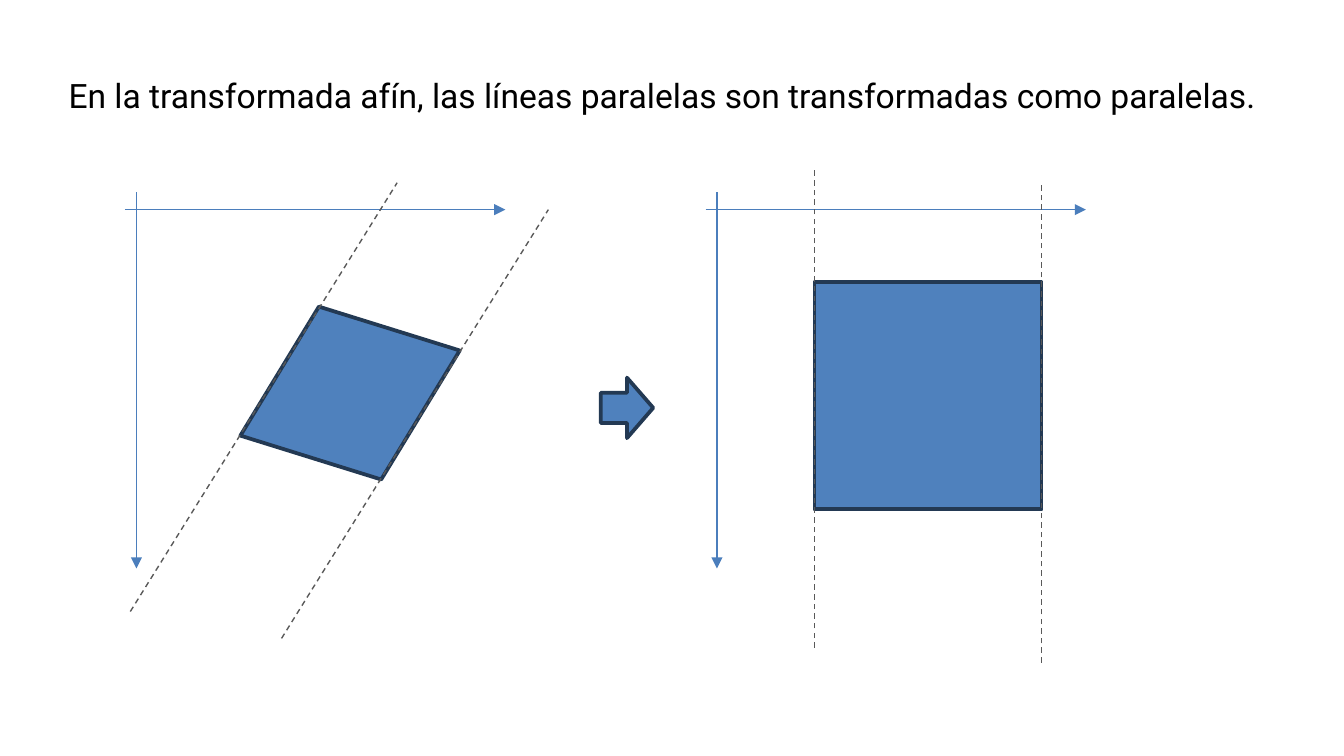
"""Build a slide showing that an affine transform keeps parallel lines parallel."""
from dataclasses import dataclass

from lxml.etree import SubElement
from pptx import Presentation
from pptx.dml.color import RGBColor as Rgb
from pptx.enum.dml import MSO_LINE as Dash
from pptx.enum.shapes import MSO_CONNECTOR as Link, MSO_SHAPE as Preset
from pptx.enum.text import MSO_ANCHOR as Anchor, MSO_AUTO_SIZE as Fit, PP_ALIGN as Align
from pptx.oxml.ns import qn
from pptx.shapes.base import BaseShape
from pptx.slide import Slide
from pptx.util import Emu, Pt

PX_PER_INCH = 200
EMU_PER_PX = 914400 // PX_PER_INCH


@dataclass(frozen=True)
class Theme:
    """Colours, font and sizes of the slide."""

    text: str = "000000"
    axis: str = "4B7EBC"
    fill: str = "4F81BD"
    outline: str = "233953"
    guide: str = "595959"
    font: str = "Roboto"
    title_pt: float = 18
    thin_pt: float = 0.75
    outline_pt: float = 2


@dataclass(frozen=True)
class Figure:
    """A filled preset shape."""

    preset: Preset
    left: int
    top: int
    width: int
    height: int
    rotation: float = 0


@dataclass(frozen=True)
class Guide:
    """A dashed line given by its lower start and its run to the upper end."""

    x: int
    y: int
    dx: int
    dy: int


THEME = Theme()
AXES_LEFT = (186, 1050)
AXES_TOP = 286
AXIS_WIDTH, AXIS_HEIGHT = 566, 560
AXIS_INSET, AXIS_DROP = 17, 26

SQUARE = Figure(Preset.RECTANGLE, 1212, 420, 338, 338)
FIGURES = (
    Figure(Preset.RIGHT_ARROW, 894, 562, 78, 90),
    SQUARE,
    Figure(Preset.PARALLELOGRAM, 384, 476, 274, 218, 17.3),
)
GUIDES = (
    Guide(194, 910, 397, -638),
    Guide(419, 950, 397, -638),
    Guide(SQUARE.left, 964, 0, -712),
    Guide(SQUARE.left + SQUARE.width, 986, 0, -712),
)


def px(length: int) -> Emu:
    """Convert pixels to EMU."""
    return Emu(length * EMU_PER_PX)


def write(shape: BaseShape, text: str, *, size: float, color: str, font: str) -> None:
    """Put left-aligned text into a shape."""
    frame = shape.text_frame
    frame.text = text
    frame.word_wrap = True
    frame.auto_size = Fit.NONE
    frame.vertical_anchor = Anchor.TOP
    paragraph = frame.paragraphs[0]
    paragraph.alignment = Align.LEFT
    run = paragraph.runs[0].font
    run.size = Pt(size)
    run.name = font
    run.color.rgb = Rgb.from_string(color)


def draw_line(slide: Slide, start: tuple[int, int], end: tuple[int, int],
              color: str, *, arrow: bool = False, dashed: bool = False) -> None:
    """Draw a thin straight line, with an arrowhead or dashes on request."""
    ends = (px(value) for value in (*start, *end))
    link = slide.shapes.add_connector(Link.STRAIGHT, *ends)
    link.line.color.rgb = Rgb.from_string(color)
    link.line.width = Pt(THEME.thin_pt)
    if dashed:
        link.line.dash_style = Dash.DASH
    if arrow:
        SubElement(link.line._get_or_add_ln(), qn("a:tailEnd"), type="triangle")
    SubElement(link._element.spPr, qn("a:effectLst"))


def draw_axes(slide: Slide, left: int) -> None:
    """Draw a crossing pair of axes pointing down and right."""
    x, y = left + AXIS_INSET, AXES_TOP + AXIS_DROP
    draw_line(slide, (x, AXES_TOP), (x, AXES_TOP + AXIS_HEIGHT), THEME.axis, arrow=True)
    draw_line(slide, (left, y), (left + AXIS_WIDTH, y), THEME.axis, arrow=True)


def draw_figure(slide: Slide, figure: Figure) -> None:
    """Draw a filled and outlined figure."""
    box = (px(v) for v in (figure.left, figure.top, figure.width, figure.height))
    shape = slide.shapes.add_shape(figure.preset, *box)
    shape.rotation = figure.rotation
    shape.shadow.inherit = False
    shape.fill.solid()
    shape.fill.fore_color.rgb = Rgb.from_string(THEME.fill)
    shape.line.color.rgb = Rgb.from_string(THEME.outline)
    shape.line.width = Pt(THEME.outline_pt)


def main() -> None:
    """Build and save the slide."""
    deck = Presentation()
    deck.slide_width, deck.slide_height = px(2000), px(1125)
    slide = deck.slides.add_slide(deck.slide_layouts[5])

    title = slide.shapes.title
    title.left, title.top, title.width, title.height = map(px, (82, 102, 1838, 80))
    write(title,
          "En la transformada afín, las líneas paralelas son transformadas como paralelas.",
          size=THEME.title_pt, color=THEME.text, font=THEME.font)

    for left in AXES_LEFT:
        draw_axes(slide, left)
    for figure in FIGURES:
        draw_figure(slide, figure)
    for guide in GUIDES:
        draw_line(slide, (guide.x, guide.y), (guide.x + guide.dx, guide.y + guide.dy),
                  THEME.guide, dashed=True)

    deck.save("out.pptx")


if __name__ == "__main__":
    main()
